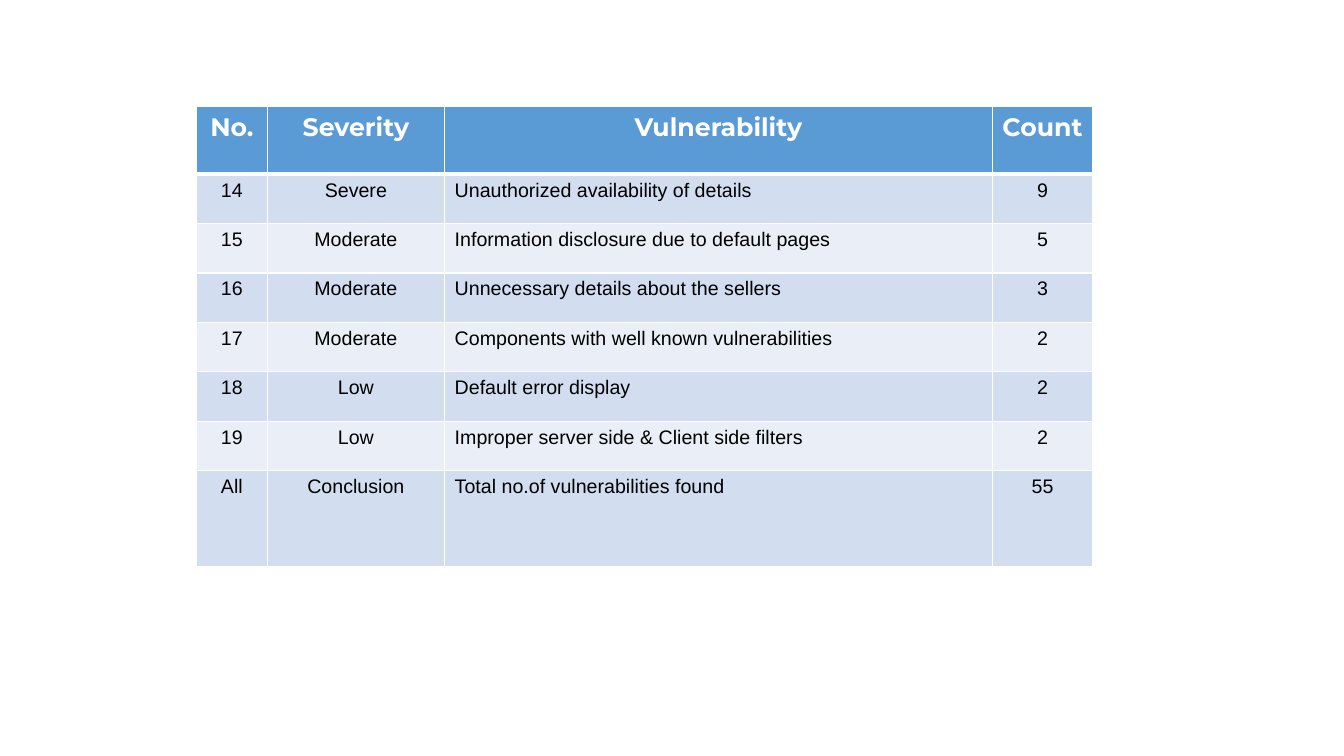
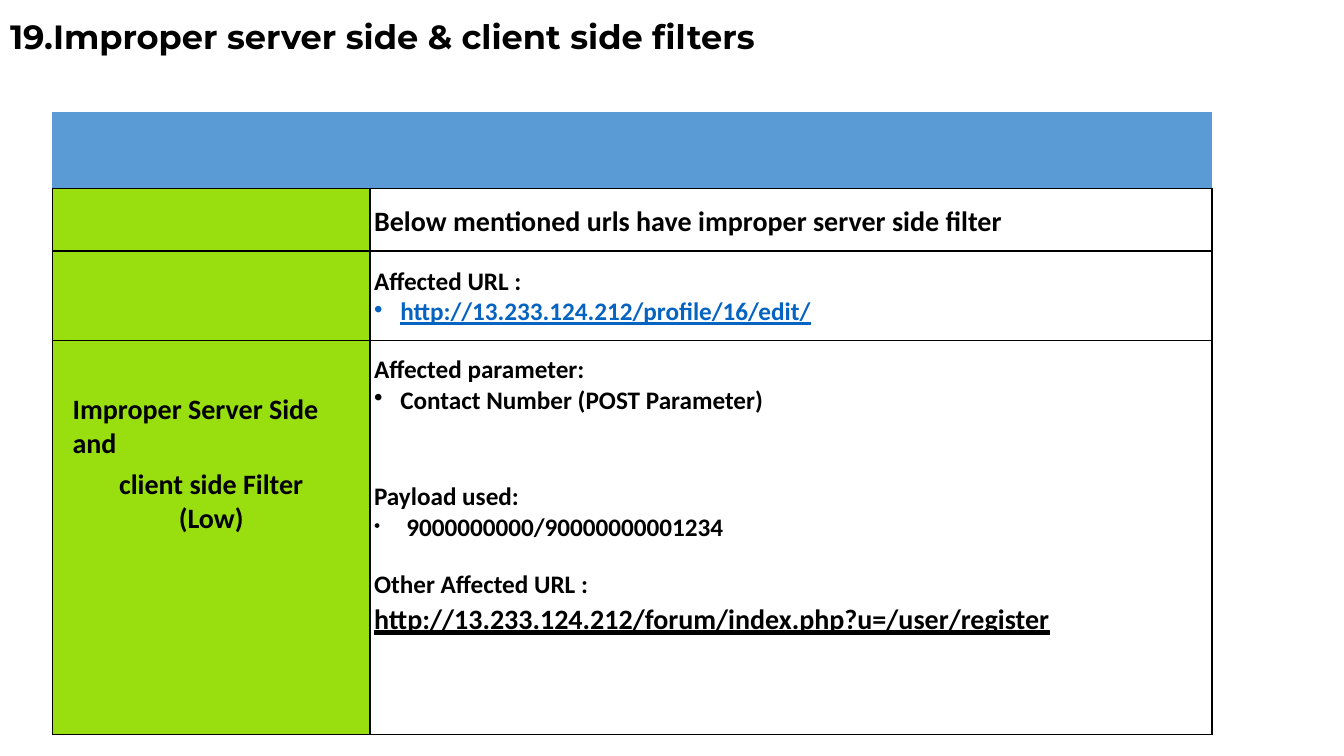
from lxml import etree
from pptx import Presentation
from pptx import util as u
from pptx.dml.color import RGBColor
from pptx.enum import text
from pptx.oxml.ns import qn

BLUE, BAND_DARK, BAND_LIGHT = "5B9BD5", "D2DEEF", "EAEFF7"
GREEN, LINK, BLACK, WHITE = "99DF0F", "0563C1", "000000", "FFFFFF"
HEAD_FONT, TABLE_FONT, DETAIL_FONT = "Montserrat", "Arial", "Calibri"
PLAIN_TABLE = "{2D5ABB26-0587-4C30-8999-92F81FD0307C}"
CENTER = text.PP_ALIGN.CENTER


def rgb(value):
    return RGBColor.from_string(value)


class Deck:
    """Holds the style and the current slide."""

    def __init__(self):
        self.prs = Presentation()
        self.prs.slide_width, self.prs.slide_height = u.Inches(13.33), u.Inches(7.5)
        self.s = None

    def slide(self, title=None):
        self.s = self.prs.slides.add_slide(self.prs.slide_layouts[5 if title else 6])
        if title:
            sp = self.s.shapes.title
            sp.left, sp.top = u.Inches(0), u.Inches(-0.34)
            sp.width, sp.height = u.Inches(11.5), u.Inches(1.45)
            tf = sp.text_frame
            tf.vertical_anchor = text.MSO_ANCHOR.MIDDLE
            p = tf.paragraphs[0]
            p.alignment, p.line_spacing = text.PP_ALIGN.LEFT, 0.9
            self.run(p, title, 24, HEAD_FONT, bold=True)

    def run(self, p, words, size, font, color=BLACK, bold=False, underline=None):
        r = p.add_run()
        r.text = words
        r.font.size, r.font.name, r.font.bold = u.Pt(size), font, bold
        r.font.color.rgb = rgb(color)
        if underline:
            r.font.underline = underline

    def table(self, left, top, cols, rows):
        frame = self.s.shapes.add_table(
            len(rows), len(cols), u.Inches(left), u.Inches(top),
            u.Inches(sum(cols)), u.Inches(sum(rows)))
        tbl = frame.table
        tbl._tbl.tblPr.find(qn("a:tableStyleId")).text = PLAIN_TABLE
        for col, width in zip(tbl.columns, cols):
            col.width = u.Inches(width)
        for row, height in zip(tbl.rows, rows):
            row.height = u.Inches(height)
        return tbl

    def cell(self, cell, fill, borders, insets=None):
        """Borders map a side (L, R, T, B) to colour and width."""
        tcPr = cell._tc.get_or_add_tcPr()
        for side in "LRTB":
            if side in borders:
                color, width = borders[side]
                ln = etree.SubElement(tcPr, qn("a:ln" + side), w=str(u.Pt(width)))
                solid = etree.SubElement(ln, qn("a:solidFill"))
                etree.SubElement(solid, qn("a:srgbClr"), val=color)
        if fill:
            cell.fill.solid()
            cell.fill.fore_color.rgb = rgb(fill)
        else:
            cell.fill.background()
        if insets:
            (cell.margin_left, cell.margin_top,
             cell.margin_right, cell.margin_bottom) = map(u.Inches, insets)

    def indent(self, p, left, hang=0, bullet_size=None):
        pPr = p._p.get_or_add_pPr()
        pPr.set("marL", str(u.Inches(left)))
        pPr.set("indent", str(u.Inches(-hang)))
        if bullet_size:
            etree.SubElement(pPr, qn("a:buSzPct"), val=str(bullet_size * 1000))
            etree.SubElement(pPr, qn("a:buChar"), char="•")

    def summary(self, left, top, cols, rows, data):
        """Banded table with a header row; the third column is left aligned."""
        tbl = self.table(left, top, cols, rows)
        for i, values in enumerate(data):
            head = i == 0
            fill = BLUE if head else BAND_DARK if i % 2 else BAND_LIGHT
            borders = {side: (WHITE, 1) for side in "LRTB"}
            if head:
                borders["B"] = (WHITE, 3)
            elif i == 1:
                borders["T"] = (WHITE, 3)
            for j, words in enumerate(values):
                c = tbl.cell(i, j)
                self.cell(c, fill, borders)
                p = c.text_frame.paragraphs[0]
                if head or j != 2:
                    p.alignment = CENTER
                if head:
                    self.run(p, words, 18, HEAD_FONT, WHITE, True)
                else:
                    self.run(p, words, 14, TABLE_FONT)

    def detail_text(self, cell, lines):
        """Each line is words, size and a dict of paragraph options."""
        tf = cell.text_frame
        for k, (words, size, opt) in enumerate(lines):
            p = tf.add_paragraph() if k else tf.paragraphs[0]
            if "align" in opt:
                p.alignment = opt["align"]
            if "line" in opt:
                p.line_spacing = u.Pt(opt["line"])
            self.indent(p, *opt.get("indent", (0,)))
            self.run(p, words, size, DETAIL_FONT, opt.get("color", BLACK), True,
                     opt.get("underline"))

    def details(self, left, top, cols, rows, labels, notes):
        """Blue band above a green label column and a column of notes.

        Labels and notes map a row to its insets and lines."""
        tbl = self.table(left, top, cols, rows)
        line, last = (BLACK, 1), len(rows) - 1
        for j in range(2):
            self.cell(tbl.cell(0, j), BLUE, {"B": line})
        tbl.cell(0, 0).merge(tbl.cell(0, 1))
        for i in range(1, len(rows)):
            borders = {"L": line, "R": line}
            if i <= 2:
                borders["T"] = line
            if i in (1, last):
                borders["B"] = line
            for j, (fill, column) in enumerate(((GREEN, labels), (None, notes))):
                insets, lines = column.get(i, (None, []))
                self.cell(tbl.cell(i, j), fill, borders, insets)
                self.detail_text(tbl.cell(i, j), lines)


def main():
    deck = Deck()

    # Summary of vulnerabilities
    deck.slide()
    deck.summary(1.95, 1.06, [0.7, 1.76, 5.43, 1], [0.67] + [0.49] * 6 + [0.95], [
        ("No.", "Severity", "Vulnerability", "Count"),
        ("14", "Severe", "Unauthorized availability of details", "9"),
        ("15", "Moderate", "Information disclosure due to default pages", "5"),
        ("16", "Moderate", "Unnecessary details about the sellers", "3"),
        ("17", "Moderate", "Components with well known vulnerabilities", "2"),
        ("18", "Low", "Default error display", "2"),
        ("19", "Low", "Improper server side & Client side filters", "2"),
        ("All", "Conclusion", "Total no.of vulnerabilities found", "55"),
    ])

    # Details of vulnerability 19
    deck.slide("19.Improper server side & client side filters")
    plain = {"indent": (0.04,)}
    bullet = {"indent": (0.3, 0.26, 100)}
    centered = {"align": CENTER}
    labels = {
        3: ((0, 0.52, 0.1, 0), [("Improper Server Side and", 20, {"indent": (0.2,)})]),
        4: ((0, 0, 0, 0), [("client side Filter", 20, {"line": 27.9, **centered}),
                           ("(Low)", 20, centered)]),
    }
    notes = {
        1: ((0, 0.16, 0, 0), [
            ("Below mentioned urls have improper server side filter", 20, plain)]),
        2: ((0, 0.15, 0, 0), [
            ("Affected URL :", 18, plain),
            ("http://13.233.124.212/profile/16/edit/", 18,
             {"color": LINK, "underline": True, **bullet})]),
        3: ((0, 0.14, 0, 0), [
            ("Affected parameter:", 18, plain),
            ("Contact Number (POST Parameter)", 18, bullet)]),
        4: ((0, 0.19, 0, 0), [
            ("Payload used:", 18, plain),
            ("9000000000/90000000001234", 18, {"indent": (0.36, 0.32, 72)})]),
        5: ((0, 0.15, 0, 0), [("Other Affected URL :", 18, plain)]),
        6: ((0, 0, 0, 0), [
            ("http://13.233.124.212/forum/index.php?u=/user/register", 20,
             {"line": 26.6, "underline": text.MSO_UNDERLINE.HEAVY_LINE, **plain})]),
    }
    deck.details(0.52, 1.11, [3.15, 8.35], [0.76, 0.62, 0.89, 1.21, 0.91, 0.45, 1.33],
                 labels, notes)

    deck.prs.save("out.pptx")


if __name__ == "__main__":
    main()
